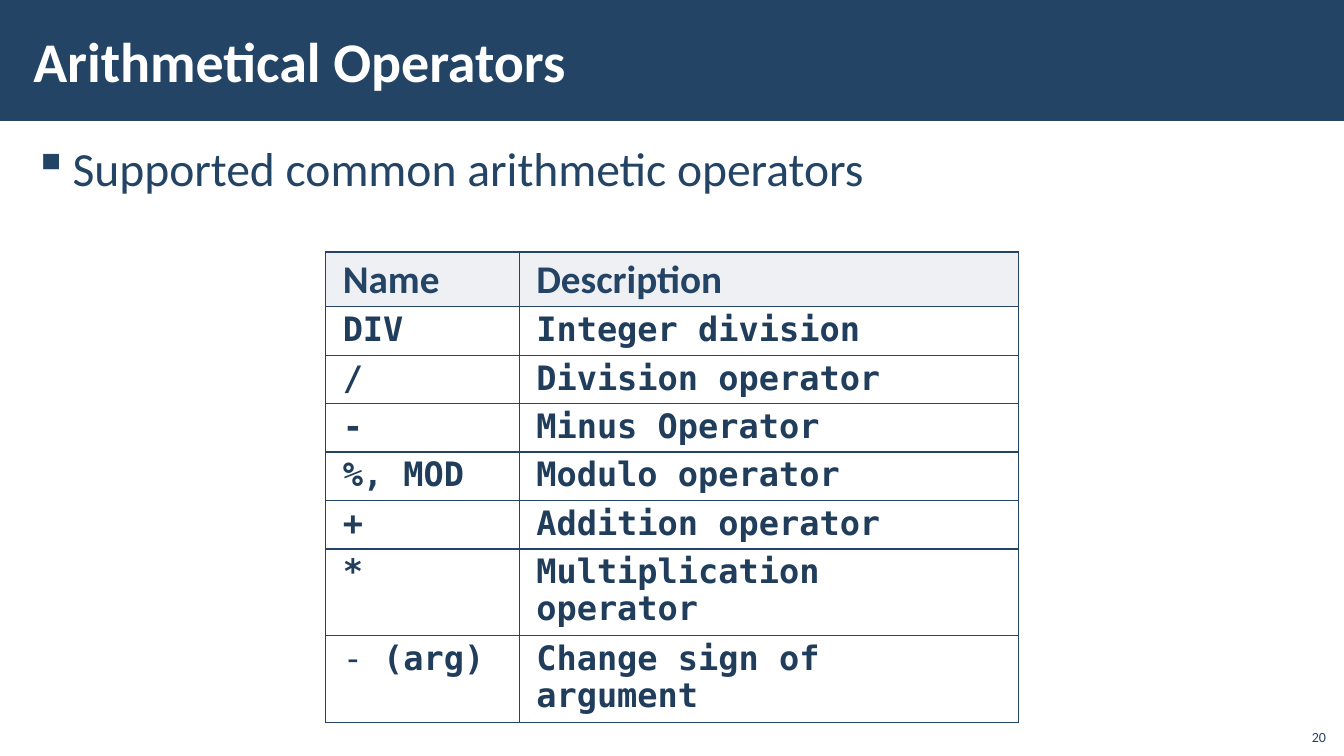
"""Build the slide that lists the arithmetical operators in a table."""
from dataclasses import dataclass

from lxml import etree
from pptx import Presentation
from pptx.dml.color import RGBColor
from pptx.enum.shapes import MSO_SHAPE
from pptx.enum.text import MSO_ANCHOR, PP_ALIGN
from pptx.oxml.ns import qn
from pptx.util import Inches, Pt

TITLE = "Arithmetical Operators"
BULLET = "Supported common arithmetic operators"
PAGE = "20"
HEADER = ("Name", "Description")
OPERATORS = [
    ("DIV", "Integer division"),
    ("/", "Division operator"),
    ("-", "Minus Operator"),
    ("%, MOD", "Modulo operator"),
    ("+", "Addition operator"),
    ("*", "Multiplication operator"),
    (("-", " (arg)"), "Change sign of argument"),
]

RECT = MSO_SHAPE.RECTANGLE
TOP, MIDDLE, BOTTOM = MSO_ANCHOR.TOP, MSO_ANCHOR.MIDDLE, MSO_ANCHOR.BOTTOM
LEFT, RIGHT = PP_ALIGN.LEFT, PP_ALIGN.RIGHT


@dataclass(frozen=True)
class Theme:
    navy: str = "234465"
    code_ink: str = "203D5B"
    white: str = "FFFFFF"
    header_fill: str = "E0E3E9"
    font: str = "Calibri"
    mono: str = "DejaVu Sans Mono"
    title: int = 40
    body: int = 34
    header: int = 28
    code: int = 24
    page: int = 10


T = Theme()
WIDTH, HEIGHT = 13.33, 7.5
BAND = HEIGHT * 0.16
MARGIN = 0.21
COLS = (1.92, 4.95)
TABLE_TOP = HEIGHT / 3
HEADER_ROW, ROW = 0.54, 0.48
PAD = (0.12, 0.04)
CELL_PAD = (0.17, 0.05)
HANG = 0.39


def style(r, size, color, font=T.font, bold=False):
    r.font.size, r.font.name, r.font.bold = Pt(size), font, bold
    r.font.color.rgb = RGBColor.from_string(color)


def frame(sp, box, anchor, pad=PAD):
    sp.left, sp.top, sp.width, sp.height = map(Inches, box)
    tf = sp.text_frame
    tf.word_wrap, tf.vertical_anchor = True, anchor
    tf.margin_left = tf.margin_right = Inches(pad[0])
    tf.margin_top = tf.margin_bottom = Inches(pad[1])
    return tf


def write(tf, text, size, color, bold=False, align=LEFT):
    p = tf.paragraphs[0]
    p.text, p.alignment = text, align
    style(p.runs[0], size, color, bold=bold)
    return p


def add_bullet(p):
    pPr = p._p.get_or_add_pPr()
    pPr.set("marL", str(Inches(HANG)))
    pPr.set("indent", str(-Inches(HANG)))
    etree.SubElement(pPr, qn("a:buChar")).set("char", "▪")


def add_borders(cell):
    tcPr = cell._tc.get_or_add_tcPr()
    for i, side in enumerate(("lnL", "lnR", "lnT", "lnB")):
        ln = etree.Element(qn(f"a:{side}"), w=str(Pt(1)))
        fill = etree.SubElement(ln, qn("a:solidFill"))
        etree.SubElement(fill, qn("a:srgbClr"), val=T.navy)
        tcPr.insert(i, ln)


def fill_cell(cell, text, is_header):
    cell.margin_left = cell.margin_right = Inches(CELL_PAD[0])
    cell.margin_top = cell.margin_bottom = Inches(CELL_PAD[1])
    p = cell.text_frame.paragraphs[0]
    p.line_spacing = 0.95
    parts = (text,) if isinstance(text, str) else text
    for i, part in enumerate(parts):
        r = p.add_run()
        r.text = part
        if is_header:
            style(r, T.header, T.navy, bold=True)
        else:
            style(r, T.code, T.code_ink, T.mono, i == len(parts) - 1)
    if is_header:
        cell.fill.solid()
        cell.fill.fore_color.rgb = RGBColor.from_string(T.header_fill)
        color = cell._tc.tcPr.find(".//" + qn("a:srgbClr"))
        etree.SubElement(color, qn("a:alpha"), val="50000")
    else:
        cell.fill.background()
    add_borders(cell)


def add_operator_table(s):
    rows = [HEADER, *OPERATORS]
    width, height = sum(COLS), HEADER_ROW + ROW * len(OPERATORS)
    box = ((WIDTH - width) / 2, TABLE_TOP, width, height)
    table = s.shapes.add_table(len(rows), len(COLS), *map(Inches, box)).table
    table.first_row = table.horz_banding = False
    for col, w in zip(table.columns, COLS):
        col.width = Inches(w)
    for i, texts in enumerate(rows):
        table.rows[i].height = Inches(ROW if i else HEADER_ROW)
        for j, text in enumerate(texts):
            fill_cell(table.cell(i, j), text, i == 0)


def main():
    prs = Presentation()
    prs.slide_width, prs.slide_height = Inches(WIDTH), Inches(HEIGHT)
    s = prs.slides.add_slide(prs.slide_layouts.get_by_name("Title Only"))

    band = s.shapes.add_shape(RECT, 0, 0, Inches(WIDTH), Inches(BAND))
    band.shadow.inherit = False
    band.fill.solid()
    band.fill.fore_color.rgb = RGBColor.from_string(T.navy)
    band.line.fill.background()
    s.shapes._spTree.insert(2, band._element)

    tf = frame(s.shapes.title, (MARGIN, 0.11, 10.63, 0.97), MIDDLE)
    write(tf, TITLE, T.title, T.white, bold=True)

    sp = s.shapes.add_textbox(0, 0, 0, 0)
    tf = frame(sp, (MARGIN, 1.31, WIDTH - 2 * MARGIN, 6.05), TOP)
    p = write(tf, BULLET, T.body, T.navy)
    p.line_spacing, p.space_before, p.space_after = 1.05, Pt(6), Pt(6)
    add_bullet(p)

    add_operator_table(s)

    sp = s.shapes.add_textbox(0, 0, 0, 0)
    tf = frame(sp, (12.85, 7.12, 0.4, 0.32), BOTTOM, (0.1, 0.05))
    write(tf, PAGE, T.page, T.navy, align=RIGHT)

    prs.save("out.pptx")


if __name__ == "__main__":
    main()
